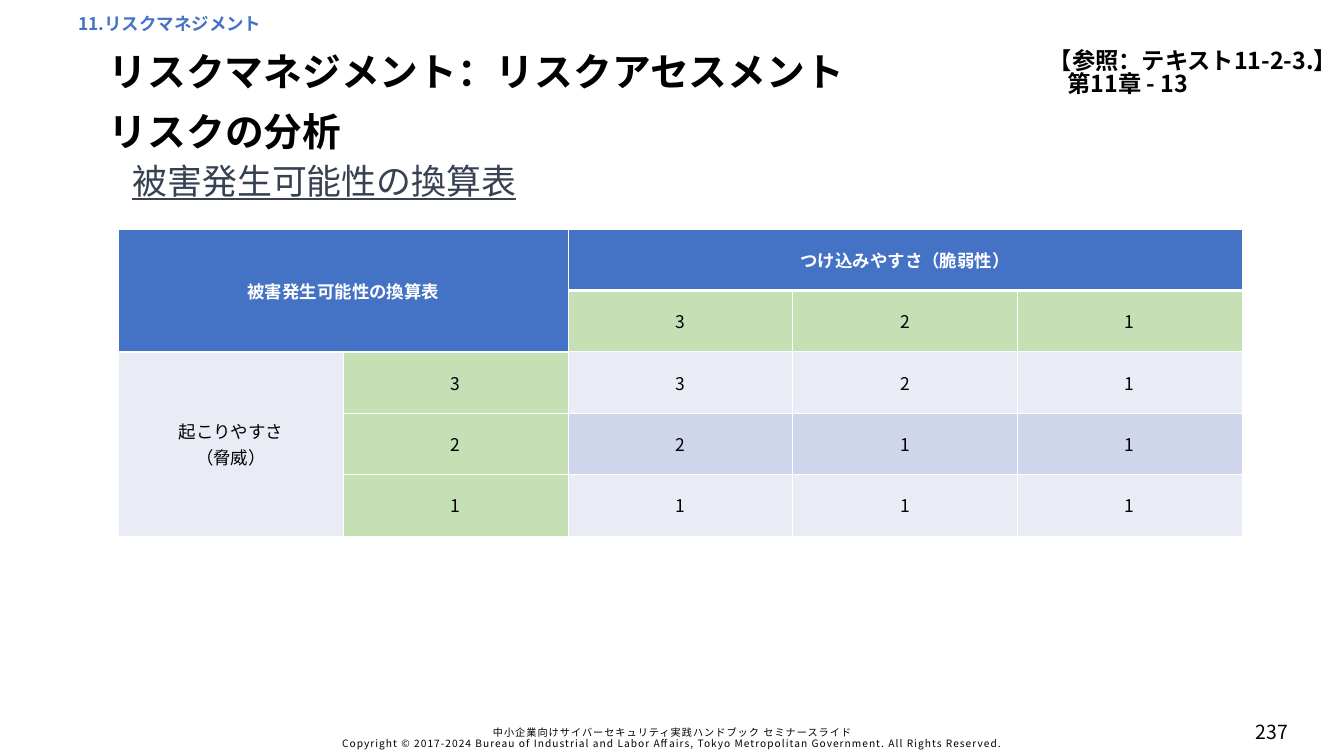
from lxml.etree import SubElement
from pptx import Presentation
from pptx.dml.color import RGBColor
from pptx.enum.text import MSO_ANCHOR as Anchor, MSO_AUTO_SIZE as AutoSize, PP_ALIGN as Align
from pptx.oxml.ns import qn
from pptx.util import Inches, Pt

FONT = "Noto Sans CJK JP"
BLACK = RGBColor(0, 0, 0)
WHITE = RGBColor(255, 255, 255)
BLUE = RGBColor(0x44, 0x72, 0xC4)
SLATE = RGBColor(0x37, 0x41, 0x51)
GREEN = RGBColor(0xC5, 0xE0, 0xB4)
PALE = RGBColor(0xE9, 0xEB, 0xF5)
BAND = RGBColor(0xCF, 0xD5, 0xEA)

WIDTH, HEIGHT = 19.26, 10.83
TITLE_LEFT, TITLE_WIDTH, TITLE_HEIGHT = 1.46, 16.34, 0.61

CHAPTER = ["11.リスクマネジメント"]
HEADING = ["リスクマネジメント：リスクアセスメント"]
TITLE = ["リスクの分析"]
REFERENCE = ["【参照：テキスト11-2-3.】", "第11章 - 13"]
SUBTITLE = ["被害発生可能性の換算表"]
FOOTER = [
    "中小企業向けサイバーセキュリティ実践ハンドブック セミナースライド",
    "Copyright © 2017-2024 Bureau of Industrial and Labor Affairs, "
    "Tokyo Metropolitan Government. All Rights Reserved.",
]
PAGE = ["237"]

TABLE_LEFT, TABLE_TOP, COLUMN_WIDTH, ROW_HEIGHT = 1.7, 3.28, 3.22, 0.88
TABLE = [
    ["被害発生可能性の換算表", "", "つけ込みやすさ（脆弱性）", "", ""],
    ["", "", "3", "2", "1"],
    ["起こりやすさ\n（脅威）", "3", "3", "2", "1"],
    ["", "2", "2", "1", "1"],
    ["", "1", "1", "1", "1"],
]
MERGES = [((0, 0), (1, 1)), ((0, 2), (0, 4)), ((2, 0), (4, 0))]


def write(frame, lines, size, color=BLACK, bold=False, underline=False,
          aligns=(Align.LEFT,), line_spacing=None, tracking=None):
    """Fill a text frame, one paragraph per line; the last alignment repeats."""
    for index, line in enumerate(lines):
        paragraph = frame.paragraphs[0] if index == 0 else frame.add_paragraph()
        paragraph.alignment = aligns[min(index, len(aligns) - 1)]
        paragraph.space_before = Pt(0)
        if line_spacing:
            paragraph.line_spacing = line_spacing
        run = paragraph.add_run()
        run.text = line
        font = run.font
        font.name, font.size, font.bold = FONT, Pt(size), bold
        font.underline = underline
        font.color.rgb = color
        properties = run._r.get_or_add_rPr()
        SubElement(properties, qn("a:ea")).set("typeface", FONT)
        if tracking:
            properties.set("spc", str(round(tracking * 100)))


def add_text(slide, box, lines, size, anchor=Anchor.TOP, margins=True, **style):
    shape = slide.shapes.add_textbox(*map(Inches, box))
    frame = shape.text_frame
    frame.word_wrap = True
    frame.vertical_anchor = anchor
    if not margins:
        frame.margin_left = frame.margin_right = 0
        frame.margin_top = frame.margin_bottom = 0
    write(frame, lines, size, **style)


def set_borders(cell, bottom):
    properties = cell._tc.get_or_add_tcPr()
    for side, width in (("L", 1), ("R", 1), ("T", 1), ("B", bottom)):
        line = SubElement(properties, qn(f"a:ln{side}"), w=str(Pt(width)))
        fill = SubElement(line, qn("a:solidFill"))
        SubElement(fill, qn("a:srgbClr"), val=str(WHITE))


def cell_fill(row, column):
    if row == 0 or (row == 1 and column < 2):
        return BLUE
    if row == 1 or column == 1:
        return GREEN
    return BAND if row == 3 and column > 1 else PALE


def add_conversion_table(slide):
    rows, columns = len(TABLE), len(TABLE[0])
    table = slide.shapes.add_table(
        rows, columns, Inches(TABLE_LEFT), Inches(TABLE_TOP),
        Inches(COLUMN_WIDTH * columns), Inches(ROW_HEIGHT * rows)).table
    table.first_row = table.horz_banding = False
    for start, end in MERGES:
        table.cell(*start).merge(table.cell(*end))
    for row, texts in enumerate(TABLE):
        for column, text in enumerate(texts):
            cell = table.cell(row, column)
            header = row == 0
            set_borders(cell, bottom=3 if header else 1)
            cell.fill.solid()
            cell.fill.fore_color.rgb = cell_fill(row, column)
            cell.vertical_anchor = Anchor.MIDDLE
            if text:
                write(cell.text_frame, text.split("\n"), 18, bold=header,
                      color=WHITE if header else BLACK, aligns=(Align.CENTER,))


def main():
    presentation = Presentation()
    presentation.slide_width = Inches(WIDTH)
    presentation.slide_height = Inches(HEIGHT)
    slide = presentation.slides.add_slide(presentation.slide_layouts[5])

    title = slide.shapes.title
    title.left, title.top = Inches(TITLE_LEFT), Inches(1.61)
    title.width, title.height = Inches(TITLE_WIDTH), Inches(TITLE_HEIGHT)
    title.text_frame.auto_size = AutoSize.NONE
    title.text_frame.vertical_anchor = Anchor.MIDDLE
    write(title.text_frame, TITLE, 40, bold=True, line_spacing=0.9)

    add_text(slide, (TITLE_LEFT, 0.76, TITLE_WIDTH, TITLE_HEIGHT), HEADING, 40,
             anchor=Anchor.MIDDLE, bold=True, line_spacing=0.9)
    add_text(slide, (1.12, 0.28, 17.48, 0.25), CHAPTER, 18, margins=False,
             color=BLUE, bold=True, line_spacing=Pt(15))
    add_text(slide, (WIDTH - 6.2, 0.68, 6.2, 0.91), REFERENCE, 24, bold=True,
             aligns=(Align.RIGHT, Align.CENTER), line_spacing=0.83)
    add_text(slide, (1.8, 2.23, 16.9, 0.71), SUBTITLE, 36, color=SLATE, underline=True)
    add_conversion_table(slide)
    add_text(slide, (3.74, 10.33, 11.79, 0.51), FOOTER, 10.5, anchor=Anchor.MIDDLE,
             aligns=(Align.CENTER,), line_spacing=0.9, tracking=1.1)
    add_text(slide, (17.38, 10.29, 1.69, 0.38), PAGE, 20, anchor=Anchor.MIDDLE,
             aligns=(Align.CENTER,))
    presentation.save("out.pptx")


if __name__ == "__main__":
    main()
